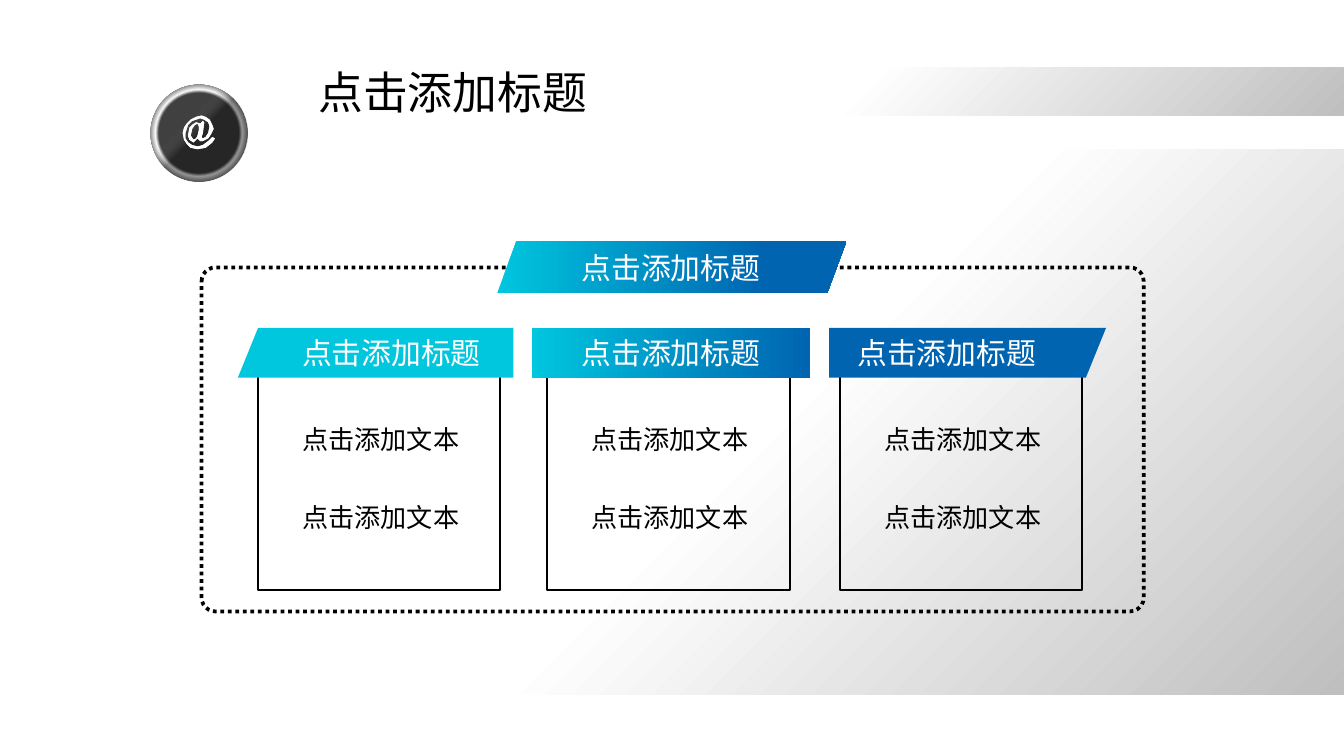
import math
from dataclasses import dataclass
from typing import Optional, Union

import pptx
import pptx.dml.color
import pptx.enum.dml
import pptx.enum.shapes
import pptx.enum.text
import pptx.oxml.ns
import pptx.util
from lxml import etree

Inches = pptx.util.Inches
Preset = pptx.enum.shapes.MSO_SHAPE
qn = pptx.oxml.ns.qn
Point = tuple[float, float]
Box = tuple[float, float, float, float]


@dataclass(frozen=True)
class Stop:
    percent: int
    color: str
    opacity: int = 100


@dataclass(frozen=True)
class Gradient:
    """Runs along an angle, or outward from a focus (left, top, right, bottom in percent)."""
    stops: tuple[Stop, ...]
    angle: int = 0
    focus: Optional[tuple[int, int, int, int]] = None


Fill = Union[str, Gradient, None]


@dataclass(frozen=True)
class Theme:
    font: str = "Noto Sans CJK SC"
    black: str = "000000"
    white: str = "FFFFFF"
    cyan: str = "00C6DE"
    blue: str = "0064B0"
    silver: str = "BFBFBF"
    charcoal: str = "404040"
    gray: str = "808080"
    title_size: int = 24
    heading_size: int = 16
    body_size: int = 14


THEME = Theme()
BACKDROP = Gradient((Stop(0, THEME.white), Stop(55, THEME.white), Stop(100, THEME.silver)), 45)
BANNER_FILL = Gradient((Stop(0, THEME.cyan), Stop(77, THEME.blue)))
MIDDLE_FILL = Gradient((Stop(0, THEME.cyan), Stop(100, THEME.blue)))
BUTTON_RIM = Gradient((Stop(58, THEME.charcoal), Stop(63, THEME.white), Stop(72, THEME.gray)),
                      focus=(50, 50, 50, 50))
BUTTON_GLOSS = Gradient((Stop(50, THEME.black, 40), Stop(63, THEME.gray, 0)),
                        focus=(100, 100, 0, 0))

HEADING = "点击添加标题"
BODY = "点击添加文本"
HEADER_TOP, HEADER_HEIGHT = 2.44, 0.37
CARD_TOP, CARD_HEIGHT = 2.63, 1.76
BODY_TOPS = (3.1, 3.68)
BODY_INDENT = 0.23


@dataclass(frozen=True)
class Card:
    """A card whose header spans top_edge above and bottom_edge below (left, right)."""
    left: float
    top_edge: Point
    bottom_edge: Point
    header_fill: Fill
    heading_left: float
    width: float = 1.8


CARDS = (
    Card(1.92, (1.92, 3.82), (1.77, 3.82), THEME.cyan, 2.15),
    Card(4.07, (3.96, 6.03), (3.96, 6.03), MIDDLE_FILL, 4.23, 1.81),
    Card(6.25, (6.17, 8.23), (6.17, 8.08), THEME.blue, 6.28),
)

AT_SIGN_OUTER = (
    (1.58, 0.93), (1.59, 0.96), (1.57, 1), (1.55, 1.03), (1.51, 1.05), (1.49, 1.05),
    (1.47, 1.03), (1.44, 1.06), (1.41, 1.04), (1.4, 1.01), (1.41, 0.95), (1.43, 0.93),
    (1.46, 0.91), (1.49, 0.92), (1.51, 0.9), (1.52, 0.91), (1.51, 0.99), (1.5, 1.02),
    (1.51, 1.03), (1.53, 1.02), (1.55, 0.99), (1.56, 0.94), (1.55, 0.91), (1.52, 0.89),
    (1.49, 0.88), (1.46, 0.89), (1.43, 0.9), (1.4, 0.93), (1.38, 0.99), (1.38, 1.03),
    (1.4, 1.06), (1.43, 1.08), (1.47, 1.09), (1.51, 1.08), (1.55, 1.05), (1.57, 1.03),
    (1.58, 1.02), (1.6, 1.03), (1.58, 1.06), (1.53, 1.1), (1.47, 1.11), (1.42, 1.1),
    (1.39, 1.07), (1.37, 1.04), (1.36, 0.99), (1.37, 0.95), (1.39, 0.92), (1.42, 0.89),
    (1.46, 0.87), (1.5, 0.86), (1.53, 0.87), (1.56, 0.89),
)
AT_SIGN_INNER = (
    (1.47, 0.92), (1.45, 0.93), (1.43, 0.96), (1.42, 1.01), (1.44, 1.04),
    (1.46, 1.03), (1.47, 1.01), (1.48, 0.97), (1.48, 0.94),
)


def rgb(color: str) -> pptx.dml.color.RGBColor:
    return pptx.dml.color.RGBColor.from_string(color)


def apply_gradient(shape, gradient: Gradient) -> None:
    shape.fill.gradient()
    element = shape._element.spPr.find(qn("a:gradFill"))
    for child in list(element):
        element.remove(child)
    stop_list = etree.SubElement(element, qn("a:gsLst"))
    for stop in gradient.stops:
        position = etree.SubElement(stop_list, qn("a:gs"), pos=str(stop.percent * 1000))
        color = etree.SubElement(position, qn("a:srgbClr"), val=stop.color)
        if stop.opacity < 100:
            etree.SubElement(color, qn("a:alpha"), val=str(stop.opacity * 1000))
    if gradient.focus is None:
        etree.SubElement(element, qn("a:lin"), ang=str(gradient.angle * 60000), scaled="0")
    else:
        radial = etree.SubElement(element, qn("a:path"), path="circle")
        edges = {side: str(value * 1000) for side, value in zip("ltrb", gradient.focus)}
        etree.SubElement(radial, qn("a:fillToRect"), edges)


def style_shape(shape, fill: Fill, line_width: float = 0) -> None:
    shape.shadow.inherit = False
    if isinstance(fill, Gradient):
        apply_gradient(shape, fill)
    elif fill:
        shape.fill.solid()
        shape.fill.fore_color.rgb = rgb(fill)
    else:
        shape.fill.background()
    if line_width:
        shape.line.color.rgb = rgb(THEME.black)
        shape.line.width = pptx.util.Pt(line_width)
    else:
        shape.line.fill.background()


def draw_preset(slide, preset, box: Box, fill: Fill = None, line_width: float = 0):
    shape = slide.shapes.add_shape(preset, *map(Inches, box))
    style_shape(shape, fill, line_width)
    return shape


def draw_outline(slide, fill: Fill, *contours: tuple[Point, ...]) -> None:
    scaled = [[(Inches(x), Inches(y)) for x, y in contour] for contour in contours]
    builder = slide.shapes.build_freeform(*scaled[0][0])
    for index, contour in enumerate(scaled):
        if index:
            builder.move_to(*contour[0])
        builder.add_line_segments(contour[1:], close=True)
    style_shape(builder.convert_to_shape(), fill)


def draw_label(slide, text: str, box: Box, size: int, color: str) -> None:
    frame = slide.shapes.add_textbox(*map(Inches, box)).text_frame
    frame.word_wrap = False
    frame.auto_size = pptx.enum.text.MSO_AUTO_SIZE.SHAPE_TO_FIT_TEXT
    run = frame.paragraphs[0].add_run()
    run.text = text
    for name, value in {"name": THEME.font, "size": pptx.util.Pt(size)}.items():
        setattr(run.font, name, value)
    run.font.color.rgb = rgb(color)
    etree.SubElement(run._r.get_or_add_rPr(), qn("a:ea"), typeface=THEME.font)


def draw_heading(slide, left: float, top: float) -> None:
    draw_label(slide, HEADING, (left, top, 1.55, 0.37), THEME.heading_size, THEME.white)


def draw_backdrop(slide) -> None:
    draw_outline(slide, BACKDROP, ((1.83, 0.5), (10, 0.5), (10, 0.86), (2.06, 0.86),
                                   (1.97, 0.68), (1.83, 0.57)))
    for fill in (BUTTON_RIM, BUTTON_GLOSS):
        draw_preset(slide, Preset.OVAL, (1.12, 0.63, 0.72, 0.72), fill)
    for _ in range(2):  # two layers give the thin strokes firmer edges
        draw_outline(slide, THEME.white, AT_SIGN_OUTER, AT_SIGN_INNER)
    notch = tuple((1.48 - 0.84 * math.cos(angle), 0.99 + 0.84 * math.sin(angle))
                  for angle in (math.radians(degrees) for degrees in range(8, 173, 4)))
    draw_outline(slide, BACKDROP, ((0, 1.11), *notch, (10, 1.11), (10, 5.17), (0, 5.17)))


def draw_card_body(slide, card: Card) -> None:
    draw_preset(slide, Preset.RECTANGLE, (card.left, CARD_TOP, card.width, CARD_HEIGHT),
                line_width=1)
    for top in BODY_TOPS:
        draw_label(slide, BODY, (card.left + BODY_INDENT, top, 1.38, 0.34),
                   THEME.body_size, THEME.black)


def draw_card_header(slide, card: Card) -> None:
    left, right = card.top_edge
    if card.top_edge == card.bottom_edge:
        draw_preset(slide, Preset.RECTANGLE, (left, HEADER_TOP, right - left, HEADER_HEIGHT),
                    card.header_fill)
    else:
        bottom = HEADER_TOP + HEADER_HEIGHT
        draw_outline(slide, card.header_fill, (
            (left, HEADER_TOP), (right, HEADER_TOP),
            (card.bottom_edge[1], bottom), (card.bottom_edge[0], bottom)))
    draw_heading(slide, card.heading_left, HEADER_TOP)


def main() -> None:
    presentation = pptx.Presentation()
    presentation.slide_width, presentation.slide_height = Inches(10), Inches(10 * 9 / 16)
    slide = presentation.slides.add_slide(presentation.slide_layouts[6])
    draw_backdrop(slide)
    for card in CARDS:
        draw_card_body(slide, card)
    draw_label(slide, HEADING, (2.27, 0.43, 2.22, 0.51), THEME.title_size, THEME.black)
    frame = draw_preset(slide, Preset.ROUNDED_RECTANGLE, (1.5, 1.99, 7.01, 2.56), line_width=2)
    frame.adjustments[0] = 0.04
    frame.line.dash_style = pptx.enum.dml.MSO_LINE.ROUND_DOT
    banner = draw_preset(slide, Preset.PARALLELOGRAM, (3.7, 1.79, 2.6, 0.39), BANNER_FILL)
    banner.adjustments[0] = 0.37
    draw_heading(slide, 4.23, 1.81)
    for card in CARDS:
        draw_card_header(slide, card)
    presentation.save("out.pptx")


if __name__ == "__main__":
    main()
